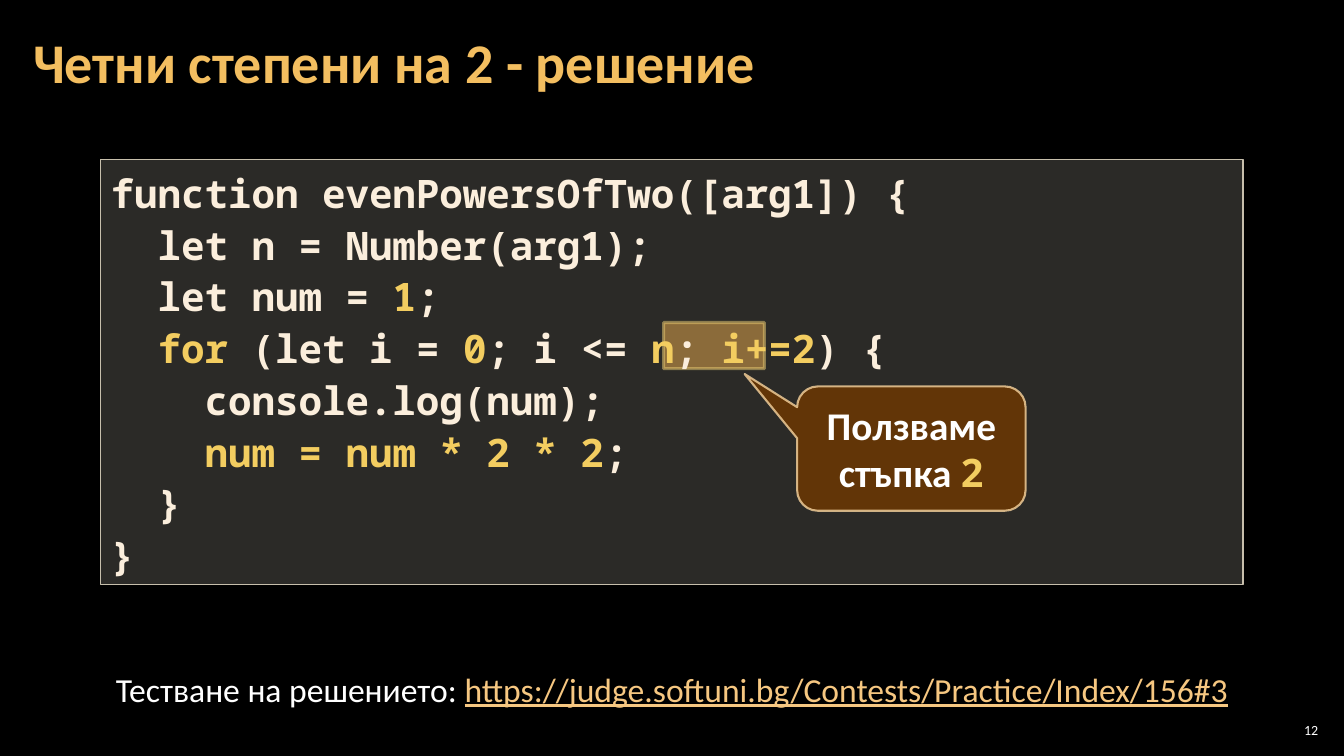
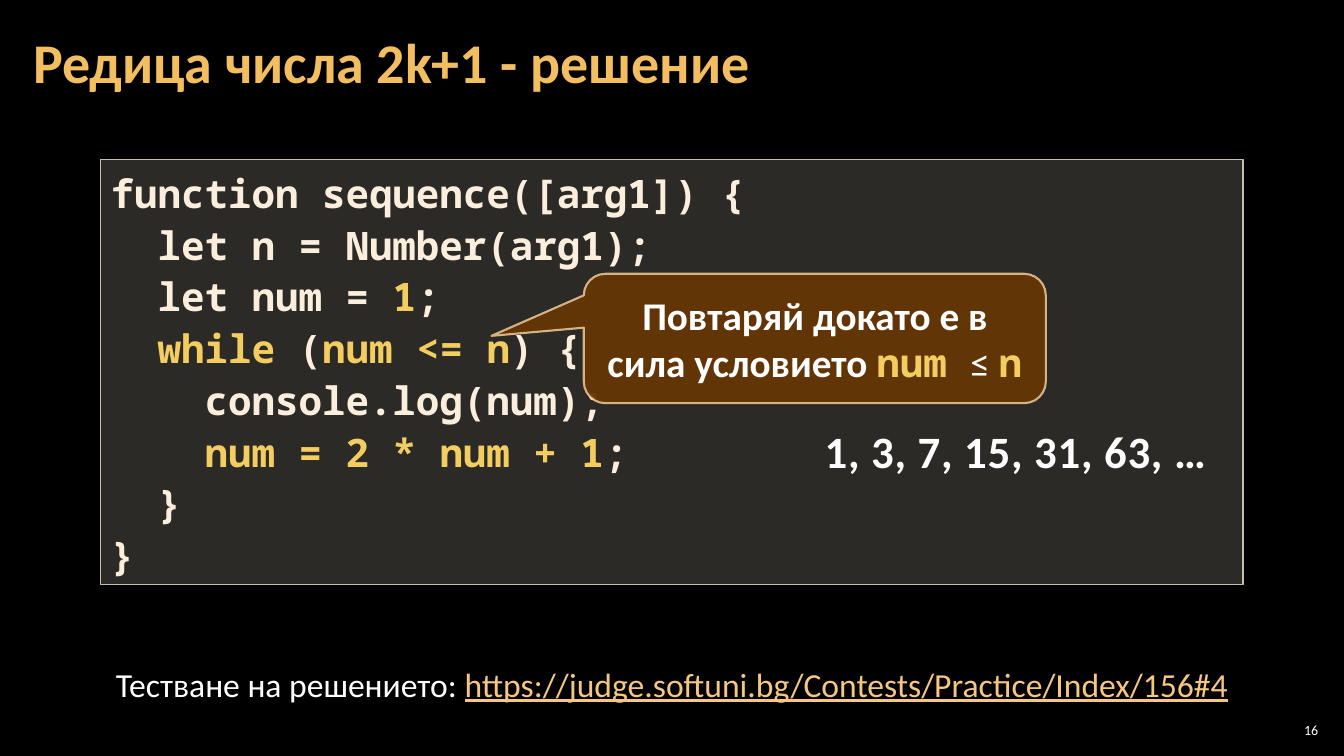
"""Build two slides that walk through loop solutions in JavaScript."""
from itertools import cycle

from lxml import etree
from pptx import Presentation
from pptx import util as u
from pptx.dml.color import RGBColor
from pptx.enum import shapes, text
from pptx.oxml import ns

SANS, MONO = "Calibri", "Noto Sans Mono"
WHITE, CREAM, GOLD, AMBER = "FFFFFF", "FBEEDC", "F3CD60", "F0A22E"
COLUMNS, ROWS = 160, 90
CODE_AREA = (12, 19, 136, 50.6)


def color(code):
    return RGBColor.from_string(code)


def style(name, size, code, bold=False, underline=False):
    return {"name": name, "size": u.Pt(size), "color": code,
            "bold": bold, "underline": underline}


TITLE = style(SANS, 40, "F3BE60", True)
PLAIN_CODE = style(MONO, 28, CREAM, True)
KEY_CODE = style(MONO, 28, GOLD, True)
LABEL = style(SANS, 28, WHITE, True)
SIGN = style(SANS, 28, WHITE)
BODY = style(SANS, 24, WHITE)
ADDRESS = style(SANS, 24, "F6C781", underline=True)
NUMBER = style(SANS, 10, WHITE)
SERIES = style(SANS, 32, "FEFEFE", True)


class Slides:
    """Holds the deck, its grid and the current page."""

    def __init__(self):
        self.deck = Presentation()
        self.deck.slide_width = u.Inches(13.33)
        self.deck.slide_height = u.Inches(7.5)
        fill = self.deck.slide_master.background.fill
        fill.solid()
        fill.fore_color.rgb = color("000000")
        self.page = None

    def place(self, left, top, width, height):
        across = self.deck.slide_width / COLUMNS
        down = self.deck.slide_height / ROWS
        return (int(left * across), int(top * down),
                int(width * across), int(height * down))

    def set_lines(self, frame, lines, styles, align=text.PP_ALIGN.LEFT, spacing=None):
        """Fill a frame; each backtick in a line moves to the next style."""
        frame.text = "\n".join(line.replace("`", "") for line in lines)
        for para, line in zip(frame.paragraphs, lines):
            para.text = ""
            para.alignment = align
            para.line_spacing = spacing
            for part, look in zip(line.split("`"), cycle(styles)):
                if not part:
                    continue
                span = para.add_run()
                span.text = part
                font = span.font
                font.name, font.size = look["name"], look["size"]
                font.bold, font.underline = look["bold"], look["underline"]
                font.color.rgb = color(look["color"])

    def start(self, title, number):
        self.page = self.deck.slides.add_slide(self.deck.slide_layouts[5])
        box = self.page.shapes.title
        box.left, box.top, box.width, box.height = self.place(2.5, 0.5, 125.6, 14.5)
        frame = box.text_frame
        frame.auto_size = text.MSO_AUTO_SIZE.NONE
        frame.vertical_anchor = text.MSO_ANCHOR.MIDDLE
        frame.margin_left = frame.margin_right = u.Inches(0.12)
        frame.margin_top = frame.margin_bottom = u.Inches(0.04)
        self.set_lines(frame, [title], [TITLE], spacing=0.9)

        frame = self.label((151.8, 85.7, 5.6, 2.5), number, [NUMBER],
                           text.PP_ALIGN.RIGHT).text_frame
        frame.vertical_anchor = text.MSO_ANCHOR.MIDDLE
        frame.margin_left = frame.margin_right = u.Inches(0.04)
        frame.margin_top = frame.margin_bottom = u.Inches(0.04)

    def label(self, area, line, styles, align=text.PP_ALIGN.LEFT, wrap=True):
        box = self.page.shapes.add_textbox(*self.place(*area))
        box.text_frame.word_wrap = wrap
        self.set_lines(box.text_frame, [line], styles, align)
        return box

    def shape(self, kind, area, fill, line, weight, alphas):
        shape = self.page.shapes.add_shape(kind, *self.place(*area))
        shape.shadow.inherit = False
        shape.fill.solid()
        shape.fill.fore_color.rgb = color(fill)
        shape.line.color.rgb = color(line)
        shape.line.width = u.Pt(weight)
        paints = shape.element.spPr.iter(ns.qn("a:srgbClr"))
        for paint, alpha in zip(paints, alphas):
            etree.SubElement(paint, ns.qn("a:alpha"), val=str(alpha * 1000))
        return shape

    def highlight(self, area):
        self.shape(shapes.MSO_SHAPE.RECTANGLE, area, AMBER, GOLD, 2.25, (50, 50))

    def code(self, lines):
        panel = self.shape(shapes.MSO_SHAPE.RECTANGLE, CODE_AREA,
                           "D9D5C7", "C7BFAC", 1, (20, 100))
        frame = panel.text_frame
        frame.word_wrap = True
        frame.auto_size = text.MSO_AUTO_SIZE.SHAPE_TO_FIT_TEXT
        frame.vertical_anchor = text.MSO_ANCHOR.TOP
        self.set_lines(frame, lines, [PLAIN_CODE, KEY_CODE], spacing=1.1)

    def callout(self, area, tip, line):
        bubble = self.shape(shapes.MSO_SHAPE.ROUNDED_RECTANGULAR_CALLOUT, area,
                            "663606", "F8D49E", 1.5, (95, 80))
        bubble.adjustments[0], bubble.adjustments[1] = tip
        bubble.text_frame.word_wrap = True
        bubble.text_frame.vertical_anchor = text.MSO_ANCHOR.MIDDLE
        self.set_lines(bubble.text_frame, [line], [LABEL, KEY_CODE, SIGN, KEY_CODE],
                       text.PP_ALIGN.CENTER)

    def judge_link(self, top, address):
        self.label((10, top, 140, 6), "Тестване на решението: `" + address,
                   [BODY, ADDRESS], text.PP_ALIGN.CENTER)

    def series(self, area, line):
        """Add outlined, shadowed text."""
        box = self.label(area, line, [SERIES], wrap=False)
        look = box.text_frame.paragraphs[0].runs[0]._r.get_or_add_rPr()
        look.set("spc", "50")
        outline = etree.Element(ns.qn("a:ln"), w=str(u.Pt(0.75)))
        effects = etree.Element(ns.qn("a:effectLst"))
        shadow = etree.SubElement(effects, ns.qn("a:outerShdw"),
                                  dist="25400", dir="2700000")
        for holder in (etree.SubElement(outline, ns.qn("a:solidFill")), shadow):
            etree.SubElement(holder, ns.qn("a:srgbClr"), val=AMBER)
        look.find(ns.qn("a:solidFill")).addnext(effects)
        look.insert(0, outline)


def main():
    slides = Slides()

    slides.start("Четни степени на 2 - решение", "12")
    slides.highlight((79, 38.4, 12, 5.5))
    slides.code([
        "function evenPowersOfTwo([arg1]) {",
        "  let n = Number(arg1);",
        "  let num = `1`;",
        "`  for` (let i = `0`; i <= `n`; `i+=2`) {",
        "    console.log(num);",
        "    `num = num * 2 * 2`;",
        "  }",
        "}",
    ])
    slides.judge_link(79, "https://judge.softuni.bg/Contests/Practice/Index/156#3")
    slides.callout((94.9, 46, 27.2, 14.8), (-0.73, -0.6), "Ползваме стъпка `2")

    slides.start("Редица числа 2k+1 - решение", "16")
    slides.code([
        "function sequence([arg1]) {",
        "  let n = Number(arg1);",
        "  let num = `1`;",
        "`  while `(`num <= n`) {",
        "    console.log(num);",
        "    `num = 2 * num + 1`;",
        "  }",
        "}",
    ])
    slides.judge_link(78.4, "https://judge.softuni.bg/Contests/Practice/Index/156#4")
    slides.callout((69.5, 32.6, 55, 15.4), (-0.7, -0.02),
                   "Повтаряй докато е в сила условието `num `≤ `n")
    slides.series((97, 49.9, 48.4, 7.7), "1, 3, 7, 15, 31, 63, …")

    slides.deck.save("out.pptx")


if __name__ == "__main__":
    main()
